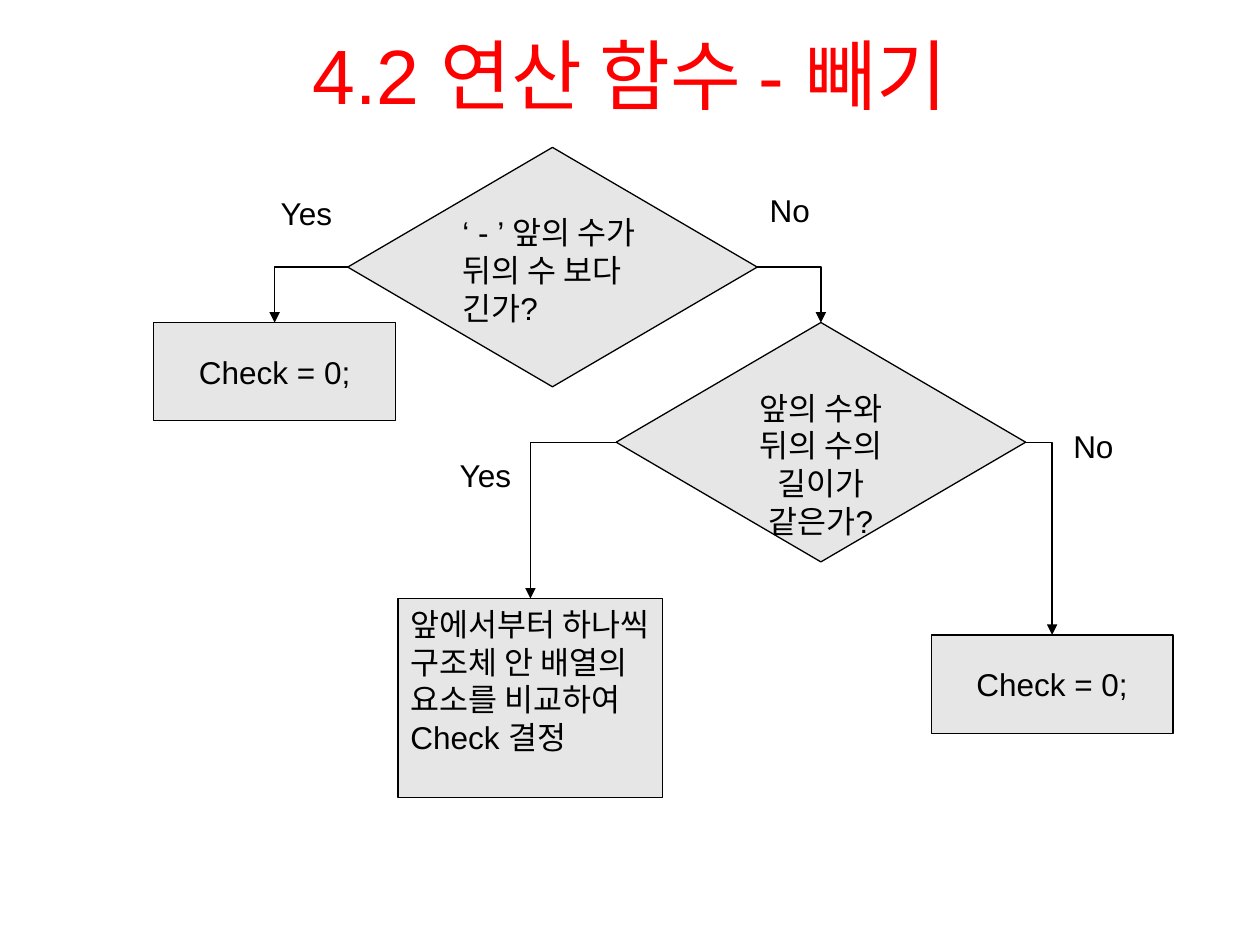
from lxml import etree
from pptx import Presentation
from pptx.dml.color import RGBColor
from pptx.enum.shapes import MSO_CONNECTOR, MSO_SHAPE
from pptx.enum.text import MSO_ANCHOR, PP_ALIGN
from pptx.oxml.ns import qn
from pptx.util import Inches, Pt

TOP, LEFT, RIGHT = 0, 1, 3


def color(hex_string):
    return RGBColor.from_string(hex_string)


class Flowchart:
    font = "Arial"
    text_size = 18
    title_size = 44
    ink = "000000"
    box_fill = "E6E6E6"
    title_color = "FF0000"
    line_width = 0.75

    def __init__(self, slide):
        self.slide = slide

    def set_text(self, shape, text, size, hex_string, align, anchor):
        text_frame = shape.text_frame
        text_frame.word_wrap = True
        text_frame.vertical_anchor = anchor
        text_frame.text = text
        paragraph = text_frame.paragraphs[0]
        paragraph.alignment = align
        for run in paragraph.runs:
            run.font.name = self.font
            run.font.size = Pt(size)
            run.font.color.rgb = color(hex_string)

    def title(self, text, left, top, width, height):
        shape = self.slide.shapes.title
        shape.left, shape.top = Inches(left), Inches(top)
        shape.width, shape.height = Inches(width), Inches(height)
        self.set_text(shape, text, self.title_size, self.title_color,
                      PP_ALIGN.CENTER, MSO_ANCHOR.TOP)

    def box(self, kind, text, left, top, width, height,
            align=PP_ALIGN.CENTER, anchor=MSO_ANCHOR.TOP):
        shape = self.slide.shapes.add_shape(
            kind, Inches(left), Inches(top), Inches(width), Inches(height))
        shape.shadow.inherit = False
        shape.fill.solid()
        shape.fill.fore_color.rgb = color(self.box_fill)
        shape.line.color.rgb = color(self.ink)
        shape.line.width = Pt(self.line_width)
        self.set_text(shape, text, self.text_size, self.ink, align, anchor)
        return shape

    def decision(self, text, left, top, align=PP_ALIGN.CENTER):
        return self.box(MSO_SHAPE.FLOWCHART_DECISION, text,
                        left, top, 3.25, 1.9, align)

    def check(self, left, top):
        return self.box(MSO_SHAPE.RECTANGLE, "Check = 0;", left, top,
                        1.92, 0.78, anchor=MSO_ANCHOR.MIDDLE)

    def label(self, text, left, top):
        shape = self.slide.shapes.add_textbox(
            Inches(left), Inches(top), Inches(0.67), Inches(0.4))
        self.set_text(shape, text, self.text_size, self.ink,
                      PP_ALIGN.LEFT, MSO_ANCHOR.TOP)

    def branch(self, source, side, target):
        """One-bend arrow from a side of source to the top of target."""
        connector = self.slide.shapes.add_connector(
            MSO_CONNECTOR.ELBOW, 0, 0, 0, 0)
        connector.begin_connect(source, side)
        connector.end_connect(target, TOP)
        connector.line.color.rgb = color(self.ink)
        connector.line.width = Pt(self.line_width)
        # Single bend, arrowhead and no shadow
        properties = connector._element.spPr
        properties.find(qn("a:prstGeom")).set("prst", "bentConnector2")
        etree.SubElement(properties.find(qn("a:ln")), qn("a:tailEnd"),
                         type="triangle")
        etree.SubElement(properties, qn("a:effectLst"))


def main():
    presentation = Presentation()
    presentation.slide_width = Inches(10)
    presentation.slide_height = Inches(7.5)
    slide = presentation.slides.add_slide(presentation.slide_layouts[5])
    chart = Flowchart(slide)

    chart.title("4.2 연산 함수 - 빼기", 0.5, 0.17, 9, 1.25)

    # Decisions
    longer = chart.decision("‘ - ’ 앞의 수가 뒤의 수 보다 긴가?",
                            2.76, 1.17, PP_ALIGN.LEFT)
    same_length = chart.decision("앞의 수와 뒤의 수의 길이가 같은가?",
                                 4.89, 2.56)

    # Outcomes
    first_check = chart.check(1.22, 2.56)
    compare = chart.box(
        MSO_SHAPE.RECTANGLE,
        "앞에서부터 하나씩 구조체 안 배열의 요소를 비교하여 Check 결정",
        3.16, 4.75, 2.1, 1.58, PP_ALIGN.LEFT)
    last_check = chart.check(7.39, 5.04)

    # Branches
    chart.branch(longer, LEFT, first_check)
    chart.branch(longer, RIGHT, same_length)
    chart.branch(same_length, LEFT, compare)
    chart.branch(same_length, RIGHT, last_check)

    # Branch labels
    for text, left, top in (("Yes", 2.13, 1.49), ("No", 6.01, 1.47),
                            ("Yes", 3.55, 3.57), ("No", 8.42, 3.34)):
        chart.label(text, left, top)

    presentation.save("out.pptx")


if __name__ == "__main__":
    main()
